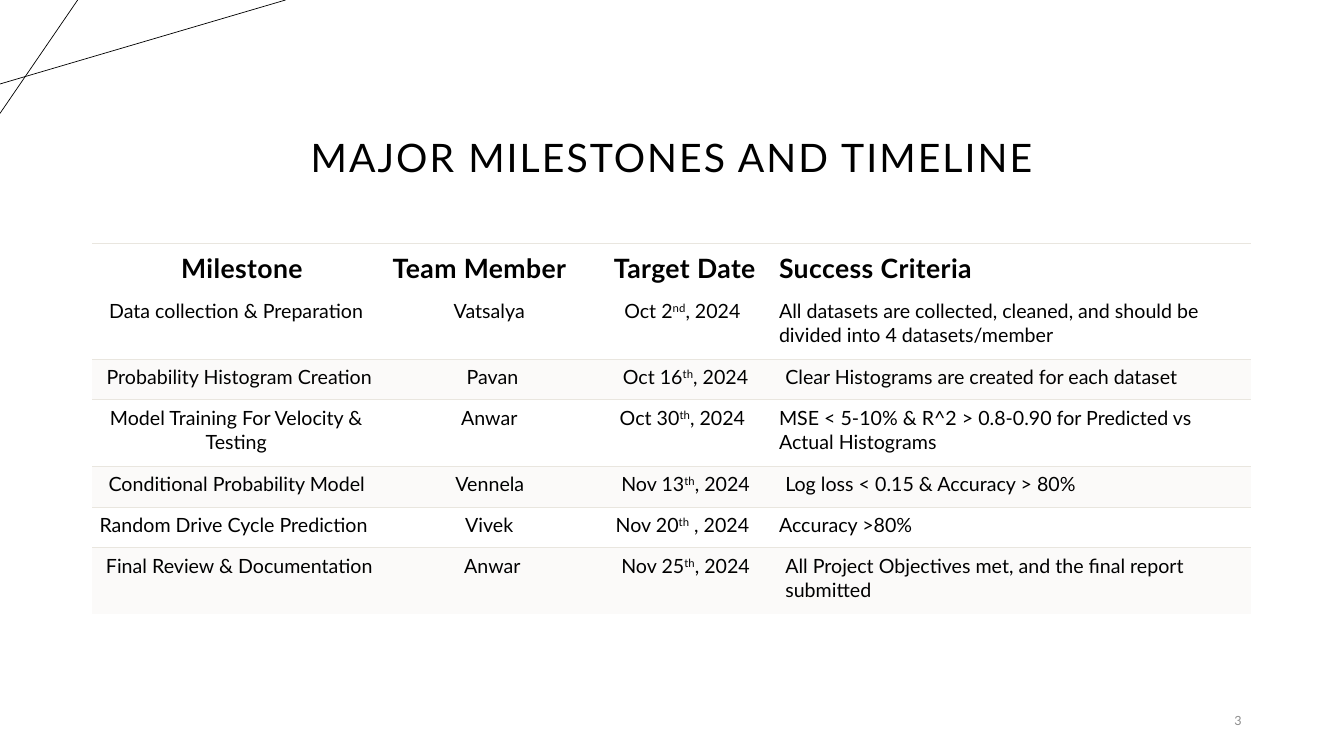
from dataclasses import dataclass

from lxml import etree
from pptx import Presentation
from pptx.dml.color import RGBColor
from pptx.enum.shapes import MSO_CONNECTOR
from pptx.enum.text import MSO_ANCHOR, PP_ALIGN
from pptx.oxml.ns import qn
from pptx.slide import Slide
from pptx.table import _Cell
from pptx.text.text import _Run
from pptx.util import Emu, Pt

STRAIGHT = MSO_CONNECTOR.STRAIGHT
TOP, MIDDLE, BOTTOM = MSO_ANCHOR.TOP, MSO_ANCHOR.MIDDLE, MSO_ANCHOR.BOTTOM
LEFT, CENTER, RIGHT = PP_ALIGN.LEFT, PP_ALIGN.CENTER, PP_ALIGN.RIGHT
NO_STYLE = "{2D5ABB26-0587-4C30-8999-92F81FD0307C}"


@dataclass(frozen=True)
class Theme:
    font: str = "Lato"
    ink: str = "000000"
    muted: str = "8C8C8C"
    rule: str = "E9E6DF"
    band: str = "FBFAF9"
    title: int = 28
    header: int = 19
    body: int = 14
    number: int = 9


@dataclass(frozen=True)
class Line:
    x1: int
    y1: int
    x2: int
    y2: int


@dataclass(frozen=True)
class Label:
    text: str
    x: int
    y: int
    w: int
    h: int
    size: int
    color: str
    align: PP_ALIGN
    anchor: MSO_ANCHOR
    tracking: int = 0
    line_spacing: float = 1.0


@dataclass(frozen=True)
class Milestone:
    name: str
    member: str
    day: str
    ordinal: str
    year: str
    criteria: str
    height: int


THEME = Theme()
LINES = [Line(0, 80, 272, 0), Line(74, 0, 0, 108)]
LABELS = [
    Label("MAJOR MILESTONES AND TIMELINE", 88, 37, 1104, 140, THEME.title,
          THEME.ink, CENTER, BOTTOM, 150, 0.9),
    Label("3", 1089, 667, 103, 38, THEME.number, THEME.muted, RIGHT, MIDDLE),
]
HEADERS = ["Milestone", "Team Member", "Target Date ", "Success Criteria"]
HEADER_ALIGNS = [CENTER, LEFT, CENTER, LEFT]
BODY_ALIGNS = [CENTER, CENTER, CENTER, LEFT]
COLUMNS = [286, 196, 172, 450]
HEADER_HEIGHT, ONE_LINE, TWO_LINES = 47, 39, 63
MILESTONES = [
    Milestone("Data collection & Preparation", "Vatsalya", "Oct 2", "nd", ", 2024",
              "All datasets are collected, cleaned, and should be divided into 4 datasets/member",
              TWO_LINES),
    Milestone("Probability Histogram Creation", "Pavan", "Oct 16", "th", ", 2024",
              "Clear Histograms are created for each dataset", ONE_LINE),
    Milestone("Model Training For Velocity & Testing", "Anwar", "Oct 30", "th", ", 2024",
              "MSE < 5-10% & R^2 > 0.8-0.90 for Predicted vs Actual Histograms", TWO_LINES),
    Milestone("Conditional Probability Model ", "Vennela ", "Nov 13", "th", ", 2024",
              "Log loss < 0.15 & Accuracy > 80%", ONE_LINE),
    Milestone("Random Drive Cycle Prediction ", "Vivek", "Nov 20", "th", " , 2024",
              "Accuracy >80%", ONE_LINE),
    Milestone("Final Review & Documentation", "Anwar", "Nov 25", "th", ", 2024",
              "All Project Objectives met, and the final report submitted", TWO_LINES),
]


def px(n: int) -> Emu:
    return Emu(n * 9525)


def style_run(r: _Run, size: int, color: str, bold: bool = False, tracking: int = 0) -> None:
    r.font.name = THEME.font
    r.font.size = Pt(size)
    r.font.bold = bold
    r.font.color.rgb = RGBColor.from_string(color)
    if tracking:
        r.font._element.set("spc", str(tracking))


def draw_line(s: Slide, line: Line) -> None:
    c = s.shapes.add_connector(STRAIGHT, px(line.x1), px(line.y1), px(line.x2), px(line.y2))
    c.line.color.rgb = RGBColor.from_string(THEME.ink)
    c.line.width = Pt(0.5)
    etree.SubElement(c._element.spPr, qn("a:effectLst"))


def draw_label(s: Slide, label: Label) -> None:
    sp = s.shapes.add_textbox(px(label.x), px(label.y), px(label.w), px(label.h))
    tf = sp.text_frame
    tf.word_wrap = True
    tf.vertical_anchor = label.anchor
    tf.text = label.text
    p = tf.paragraphs[0]
    p.alignment = label.align
    p.line_spacing = label.line_spacing
    style_run(p.runs[0], label.size, label.color, tracking=label.tracking)


def top_border(cell: _Cell, width: float) -> None:
    ln = etree.Element(qn("a:lnT"), w=str(Pt(width)))
    fill = etree.SubElement(ln, qn("a:solidFill"))
    etree.SubElement(fill, qn("a:srgbClr"), val=THEME.rule)
    cell._tc.get_or_add_tcPr().insert(0, ln)


def fill_cell(cell: _Cell, texts: list[str], align: PP_ALIGN, header: bool, banded: bool) -> None:
    cell.margin_left = px(6 if banded else 0)
    cell.margin_right = px(1 if header else 12)
    cell.margin_top = cell.margin_bottom = px(6)
    cell.vertical_anchor = MIDDLE if header else TOP
    if banded:
        cell.fill.solid()
        cell.fill.fore_color.rgb = RGBColor.from_string(THEME.band)
    else:
        cell.fill.background()
    if header or banded:
        top_border(cell, 1.5 if header else 0.75)
    p = cell.text_frame.paragraphs[0]
    p.alignment = align
    for i, text in enumerate(texts):
        r = p.add_run()
        r.text = text
        style_run(r, THEME.header if header else THEME.body, THEME.ink, header, 30 if header else 0)
        if i == 1:
            r.font._element.set("baseline", "30000")


def draw_table(s: Slide) -> None:
    heights = [HEADER_HEIGHT] + [m.height for m in MILESTONES]
    table = s.shapes.add_table(len(heights), len(COLUMNS), px(88), px(232),
                               px(sum(COLUMNS)), px(sum(heights))).table
    table.horz_banding = False
    table._tbl.tblPr.find(qn("a:tableStyleId")).text = NO_STYLE
    for column, width in zip(table.columns, COLUMNS):
        column.width = px(width)
    for row, height in zip(table.rows, heights):
        row.height = px(height)
    for col, (text, align) in enumerate(zip(HEADERS, HEADER_ALIGNS)):
        fill_cell(table.cell(0, col), [text], align, True, False)
    for row, m in enumerate(MILESTONES, 1):
        contents = [[m.name], [m.member], [m.day, m.ordinal, m.year], [m.criteria]]
        for col, (texts, align) in enumerate(zip(contents, BODY_ALIGNS)):
            fill_cell(table.cell(row, col), texts, align, False, row % 2 == 0)


def main() -> None:
    prs = Presentation()
    prs.slide_width, prs.slide_height = px(1280), px(720)
    s = prs.slides.add_slide(prs.slide_layouts[6])
    for line in LINES:
        draw_line(s, line)
    for label in LABELS:
        draw_label(s, label)
    draw_table(s)
    prs.save("out.pptx")


if __name__ == "__main__":
    main()
